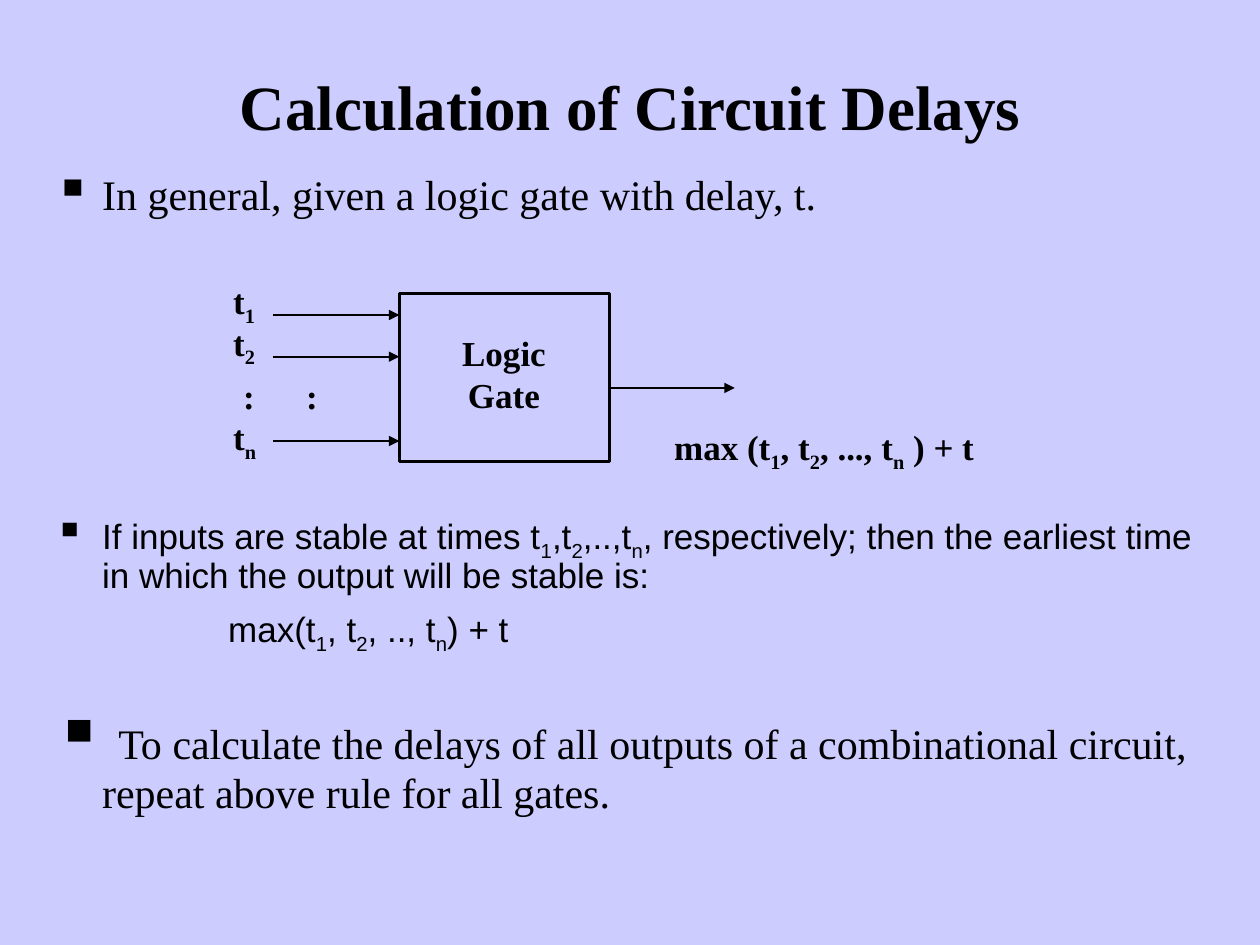
"""Build a slide explaining how circuit delays are calculated."""
from lxml import etree
from pptx import Presentation
from pptx import util as u
from pptx.dml.color import RGBColor
from pptx.enum import shapes, text
from pptx.oxml.ns import qn

COLORS = {"background": "CCCCFF", "ink": "000000"}
SERIF, SANS = "Times New Roman", "Arial"
TITLE = "Calculation of Circuit Delays"
# Odd pieces between bars are subscripts.
BULLETS = [
    (1.33, 0.5, SERIF, 24, ["In general, given a logic gate with delay, t."]),
    (4.04, 1.2, SANS, 20, [
        "If inputs are stable at times t|1|,t|2|,..,t|n|, respectively; "
        "then the earliest time in which the output will be stable is:",
        "max(t|1|, t|2|, .., t|n|) + t"]),
    (5.6, 1.0, SERIF, 24, [
        " To calculate the delays of all outputs of a combinational circuit, "
        "repeat above rule for all gates."]),
]
LABELS = [
    (1.75, 2.17, 0.42, "t|1|"),
    (1.75, 2.5, 0.42, "t|2|"),
    (1.75, 3.25, 0.42, "t|n|"),
    (1.83, 2.92, 0.42, ":"),
    (2.33, 2.92, 0.42, ":"),
    (5.25, 3.33, 2.92, "max (t|1|, t|2|, ..., t|n| ) + t"),
]
GATE = (3.17, 2.33, 1.67, 1.33)
GATE_NAME = ["Logic", "Gate"]
ARROW_LENGTH = 1
ARROWS = [(2.17, 2.5), (2.17, 2.83), (2.17, 3.5), (4.83, 3.08)]


def length(inches):
    return u.Cm(round(inches * 2.54, 2))


def color(name):
    return RGBColor.from_string(COLORS[name])


def add_runs(paragraph, wording, font, size, bold=False):
    for index, piece in enumerate(wording.split("|")):
        if piece:
            run = paragraph.add_run()
            run.text = piece
            if index % 2:
                run._r.get_or_add_rPr().set("baseline", "-25000")
    paragraph.font.name = font
    paragraph.font.size = u.Pt(size)
    paragraph.font.bold = bold
    paragraph.font.color.rgb = color("ink")


def add_box(slide, left, top, width, height, lines, size, centered=False):
    frame = slide.shapes.add_textbox(*map(length, (left, top, width, height))).text_frame
    frame.word_wrap = True
    frame.vertical_anchor = text.MSO_ANCHOR.MIDDLE if size > 30 else text.MSO_ANCHOR.TOP
    for index, line in enumerate(lines):
        paragraph = frame.paragraphs[0] if index == 0 else frame.add_paragraph()
        add_runs(paragraph, line, SERIF, size, bold=True)
        if centered:
            paragraph.alignment = text.PP_ALIGN.CENTER


def add_bullet(paragraph):
    properties = paragraph._p.get_or_add_pPr()
    bullet_color = etree.SubElement(properties, qn("a:buClr"))
    etree.SubElement(bullet_color, qn("a:srgbClr"), val=COLORS["ink"])
    etree.SubElement(properties, qn("a:buSzPct"), val="120000")
    etree.SubElement(properties, qn("a:buChar"), char="▪")


def add_bullet_box(slide, top, height, font, size, lines):
    frame = slide.shapes.add_textbox(*map(length, (0.33, top, 9.33, height))).text_frame
    frame.word_wrap = True
    for index, line in enumerate(lines):
        paragraph = frame.paragraphs[0] if index == 0 else frame.add_paragraph()
        properties = paragraph._p.get_or_add_pPr()
        properties.set("marL", str(length(1.38 if index else 0.38)))
        properties.set("indent", str(0 if index else -length(0.38)))
        if index == 0:
            add_bullet(paragraph)
        else:
            paragraph.space_before = u.Pt(7)
        paragraph.line_spacing = 0.9
        if line.startswith(" "):
            wide_space = paragraph.add_run()
            wide_space.text = " "
            wide_space.font.size = u.Pt(32)
        add_runs(paragraph, line.lstrip(), font, size)


def add_gate(slide):
    gate = slide.shapes.add_shape(shapes.MSO_SHAPE.RECTANGLE, *map(length, GATE))
    gate.shadow.inherit = False
    gate.fill.background()
    gate.line.color.rgb = color("ink")
    gate.line.width = u.Pt(1.5)


def add_arrow(slide, left, top):
    ends = map(length, (left, top, left + ARROW_LENGTH, top))
    arrow = slide.shapes.add_connector(shapes.MSO_CONNECTOR.STRAIGHT, *ends)
    arrow.line.color.rgb = color("ink")
    arrow.line.width = u.Pt(1.25)
    etree.SubElement(arrow.line._get_or_add_ln(), qn("a:tailEnd"), type="triangle")
    etree.SubElement(arrow._element.spPr, qn("a:effectLst"))


def main():
    presentation = Presentation()
    presentation.slide_width, presentation.slide_height = u.Cm(25.4), u.Cm(19.05)
    slide = presentation.slides.add_slide(presentation.slide_layouts[6])
    slide.background.fill.solid()
    slide.background.fill.fore_color.rgb = color("background")
    add_box(slide, 0.75, 0.25, 8.5, 1.17, [TITLE], 36, centered=True)
    for bullet in BULLETS:
        add_bullet_box(slide, *bullet)
    add_gate(slide)
    add_box(slide, 3.5, 2.58, 1, 0.77, GATE_NAME, 20, centered=True)
    for arrow in ARROWS:
        add_arrow(slide, *arrow)
    for left, top, width, wording in LABELS:
        add_box(slide, left, top, width, 0.48, [wording], 20)
    presentation.save("out.pptx")


if __name__ == "__main__":
    main()
